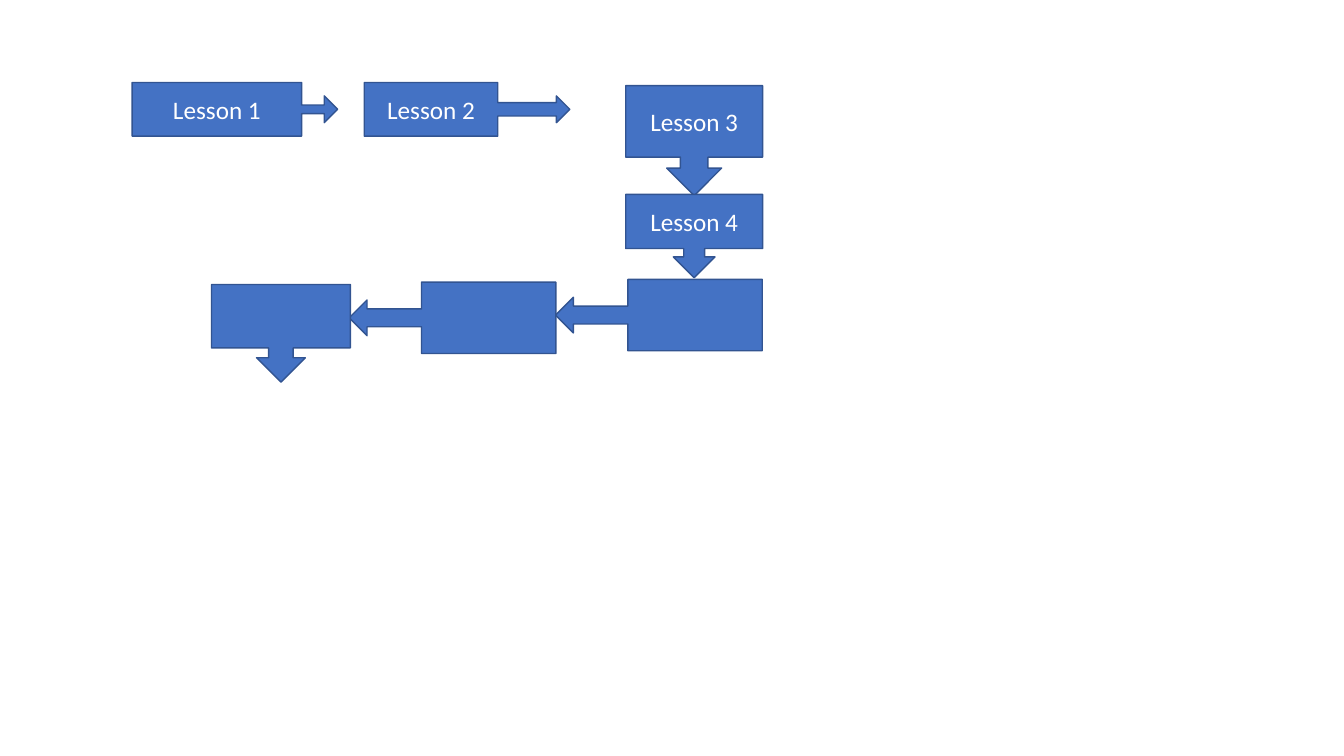
import pptx
import pptx.util
import pptx.dml.color
import pptx.enum.shapes
import pptx.enum.text

Cm = pptx.util.Cm
Kind = pptx.enum.shapes.MSO_SHAPE
RIGHT = Kind.RIGHT_ARROW_CALLOUT
DOWN = Kind.DOWN_ARROW_CALLOUT
LEFT = Kind.LEFT_ARROW_CALLOUT


def color(code):
    return pptx.dml.color.RGBColor.from_string(code)


class Flow:
    font = "Calibri"
    size = 18
    fill = "4472C4"
    edge = "325491"
    ink = "FFFFFF"

    def __init__(self, slide):
        self.slide = slide

    def step(self, kind, left, top, width, height, text="", adjust=()):
        shape = self.slide.shapes.add_shape(
            kind, Cm(left), Cm(top), Cm(width), Cm(height))
        shape.shadow.inherit = False
        shape.fill.solid()
        shape.fill.fore_color.rgb = color(self.fill)
        shape.line.color.rgb = color(self.edge)
        shape.line.width = pptx.util.Pt(1)
        for index, value in enumerate(adjust):
            shape.adjustments[index] = value
        if text:
            self.label(shape.text_frame, text)

    def label(self, frame, text):
        frame.text = text
        frame.vertical_anchor = pptx.enum.text.MSO_ANCHOR.MIDDLE
        line = frame.paragraphs[0]
        line.alignment = pptx.enum.text.PP_ALIGN.CENTER
        for run in line.runs:
            run.font.name = self.font
            run.font.size = pptx.util.Pt(self.size)
            run.font.color.rgb = color(self.ink)


deck = pptx.Presentation()
deck.slide_width = Cm(33.87)
deck.slide_height = Cm(19.05)
flow = Flow(deck.slides.add_slide(deck.slide_layouts[6]))

flow.step(RIGHT, 3.33, 2.08, 5.18, 1.35, "Lesson 1", (0.16, 0.25, 0.25, 0.825))
flow.step(RIGHT, 9.18, 2.08, 5.18, 1.35, "Lesson 2")
flow.step(DOWN, 15.77, 2.16, 3.45, 2.77, "Lesson 3")
flow.step(DOWN, 15.77, 4.9, 3.45, 2.1, "Lesson 4")
flow.step(LEFT, 14, 7.04, 5.21, 1.8)
flow.step(LEFT, 8.8, 7.11, 5.21, 1.8)
flow.step(DOWN, 5.33, 7.17, 3.5, 2.46)

deck.save("out.pptx")
